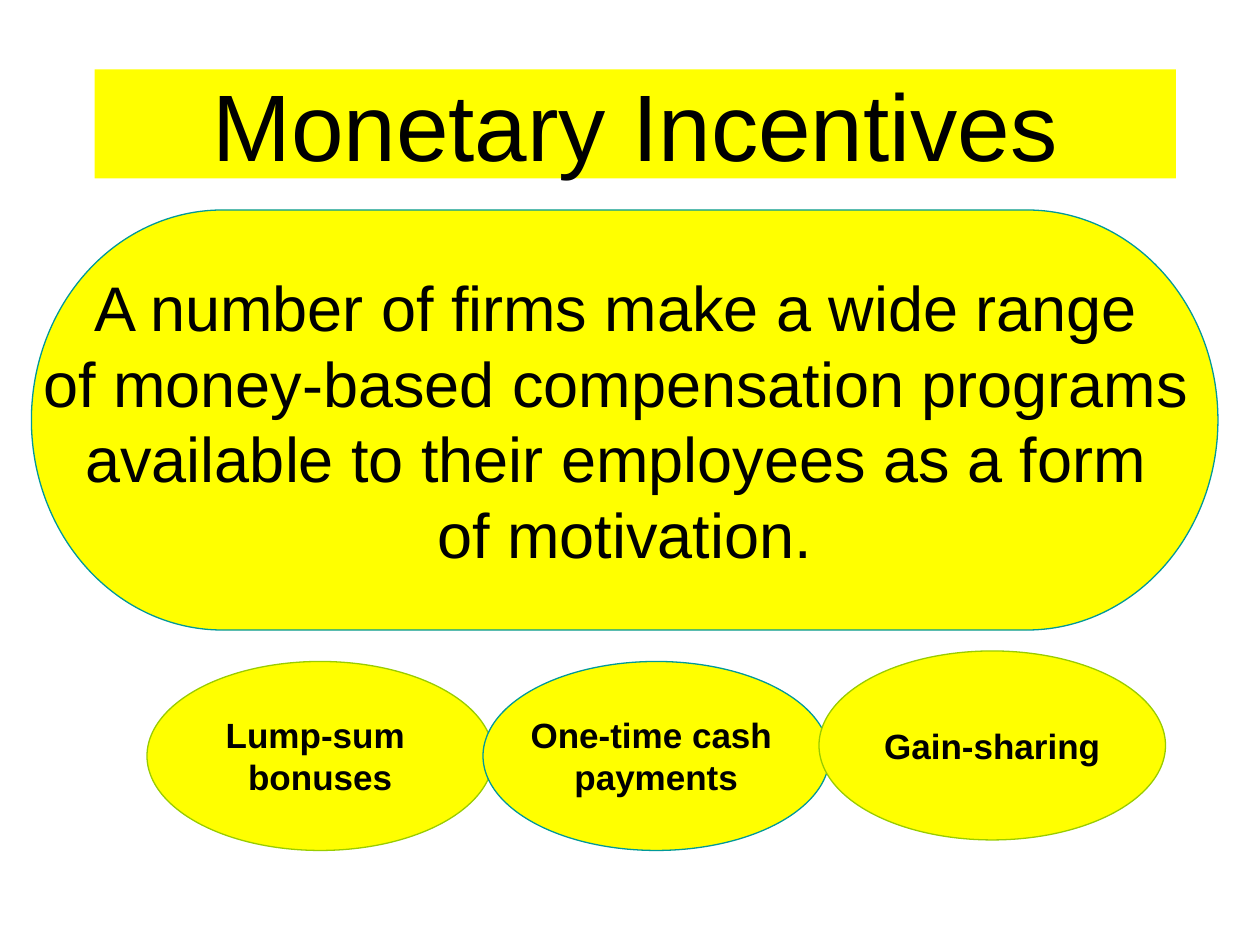
from dataclasses import dataclass

from pptx import Presentation
from pptx.dml.color import RGBColor
from pptx.enum.shapes import MSO_SHAPE
from pptx.enum.text import MSO_ANCHOR, MSO_AUTO_SIZE, PP_ALIGN
from pptx.util import Inches, Pt

CELLS_PER_INCH = 12
YELLOW, TEAL, GREEN, BLACK = "FFFF00", "009999", "99CC00", "000000"


@dataclass(frozen=True)
class Area:
    column: float
    row: float
    columns: float
    rows: float


@dataclass(frozen=True)
class Incentive:
    lines: tuple[str, ...]
    row: float
    outline: str


INCENTIVES = (
    Incentive(("Lump-sum ", "bonuses"), 63, GREEN),
    Incentive(("One-time cash ", "payments"), 63, TEAL),
    Incentive(("Gain-sharing",), 62, GREEN),
)
STATEMENT = "\v".join((
    "A number of firms make a wide range ",
    "of money-based compensation programs ",
    "available to their employees as a form ",
    "of motivation.",
))


def colour(value: str) -> RGBColor:
    return RGBColor.from_string(value)


def grid(cells: float) -> int:
    return Inches(cells / CELLS_PER_INCH)


def place(shape, area: Area) -> None:
    shape.left, shape.top = grid(area.column), grid(area.row)
    shape.width, shape.height = grid(area.columns), grid(area.rows)
    shape.fill.solid()
    shape.fill.fore_color.rgb = colour(YELLOW)


def write(shape, *lines: str, size: float, bold: bool = False, wrap: bool = False) -> None:
    frame = shape.text_frame
    frame.auto_size = MSO_AUTO_SIZE.NONE
    frame.word_wrap = wrap
    frame.vertical_anchor = MSO_ANCHOR.MIDDLE
    frame.text = "\n".join(lines)
    for para in frame.paragraphs:
        para.alignment = PP_ALIGN.CENTER
        for span in para.runs:
            span.font.name = "Arial"
            span.font.size = Pt(size)
            span.font.bold = bold
            span.font.color.rgb = colour(BLACK)


def add_bubble(page, kind: MSO_SHAPE, area: Area, outline: str):
    bubble = page.shapes.add_shape(kind, 0, 0, 0, 0)
    place(bubble, area)
    bubble.shadow.inherit = False
    bubble.line.color.rgb = colour(outline)
    bubble.line.width = Pt(0.75)
    return bubble


def main() -> None:
    deck = Presentation()
    deck.slide_width, deck.slide_height = Inches(10), Inches(7.5)
    page = deck.slides.add_slide(deck.slide_layouts.get_by_name("Title Only"))

    title = page.shapes.title
    place(title, Area(9, 6.6, 103, 10.4))
    write(title, "Monetary Incentives", size=54, wrap=True)

    statement = add_bubble(page, MSO_SHAPE.FLOWCHART_TERMINATOR, Area(3, 20, 113, 40), TEAL)
    write(statement, STATEMENT, size=36)

    for index, incentive in enumerate(INCENTIVES):
        area = Area(14 + 32 * index, incentive.row, 33, 18)
        bubble = add_bubble(page, MSO_SHAPE.OVAL, area, incentive.outline)
        write(bubble, *incentive.lines, size=20, bold=True)

    deck.save("out.pptx")


if __name__ == "__main__":
    main()
